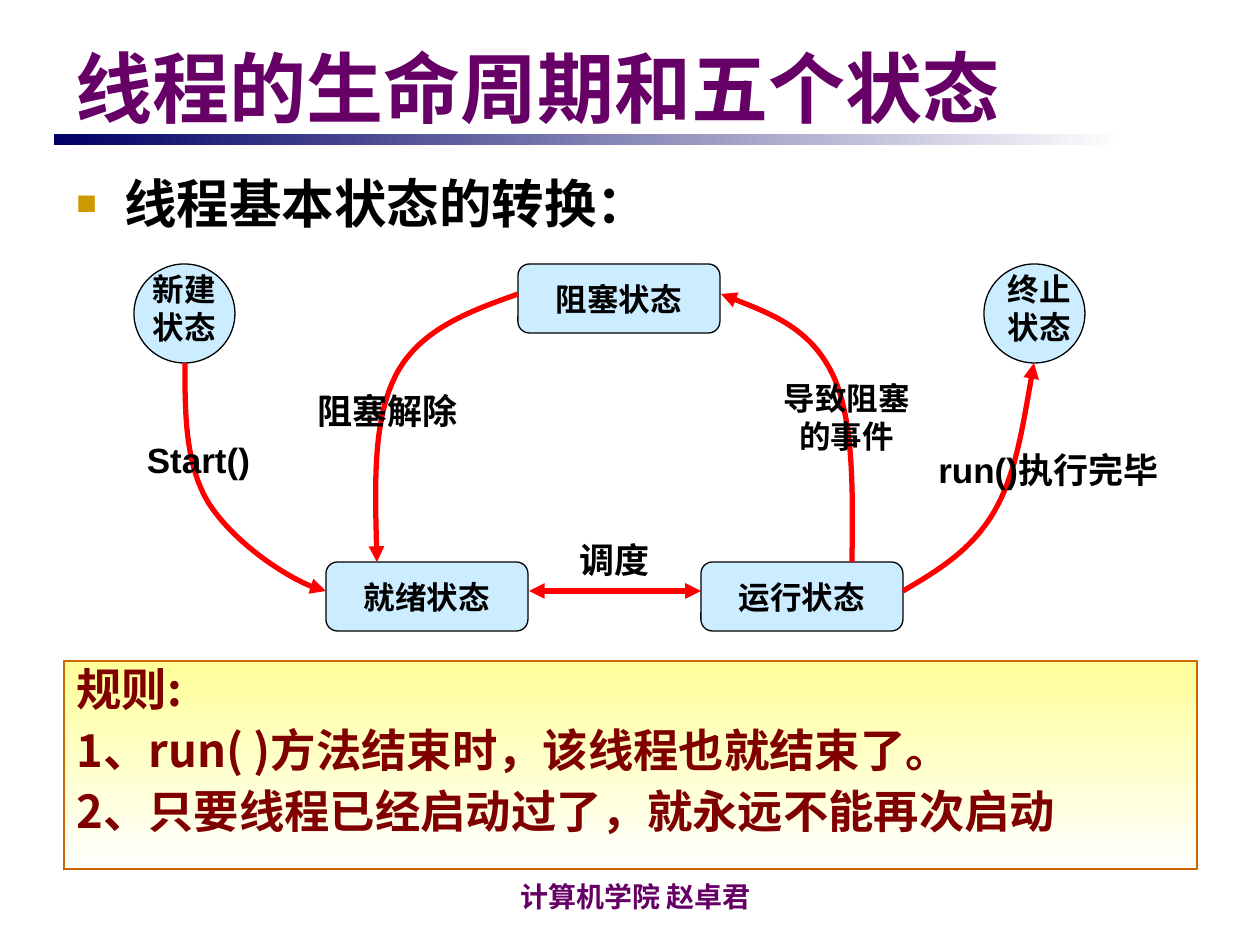
from pptx import Presentation
from pptx.dml.color import RGBColor
from pptx.enum.shapes import MSO_CONNECTOR, MSO_SHAPE
from pptx.enum.text import MSO_ANCHOR, PP_ALIGN
from pptx.oxml.ns import qn
from pptx.util import Pt
from lxml.etree import SubElement

EMU_PER_PX = 914400 / 126

NAVY = RGBColor(0x00, 0x00, 0x66)
PURPLE = RGBColor(0x66, 0x00, 0x66)
MAROON = RGBColor(0x80, 0x00, 0x00)
GOLD = RGBColor(0xCC, 0x99, 0x00)
ORANGE = RGBColor(0xCC, 0x66, 0x00)
YELLOW = RGBColor(0xFF, 0xFF, 0x99)
SKY = RGBColor(0xCC, 0xEC, 0xFF)
RED = RGBColor(0xFF, 0x00, 0x00)
BLACK = RGBColor(0x00, 0x00, 0x00)
WHITE = RGBColor(0xFF, 0xFF, 0xFF)

SANS = "Arial"
SERIF = "Times New Roman"
CHINESE = "Noto Sans CJK SC"


def emu(px):
    return round(px * EMU_PER_PX)


def write(shape, text, size=18, font=SANS, color=BLACK, align=PP_ALIGN.CENTER,
          anchor=MSO_ANCHOR.TOP, wrap=True, spacing=None, before=None):
    """Fill a shape with bold text, one paragraph a line."""
    frame = shape.text_frame
    frame.word_wrap = wrap
    frame.vertical_anchor = anchor
    for index, line in enumerate(text.split("\n")):
        para = frame.add_paragraph() if index else frame.paragraphs[0]
        para.alignment = align
        if spacing:
            para.line_spacing = spacing
        if before:
            para.space_before = Pt(before)
        span = para.add_run()
        span.text = line
        span.font.size = Pt(size)
        span.font.name = font
        span.font.bold = True
        span.font.color.rgb = color
    return frame


class StateSlide:
    def __init__(self, page):
        self.page = page
        self.shapes = page.shapes

    def outline(self, shape, color, width, head=False, tail=False):
        shape.line.color.rgb = color
        shape.line.width = Pt(width)
        stroke = shape.element.spPr.find(qn("a:ln"))
        for wanted, tag in ((head, "a:headEnd"), (tail, "a:tailEnd")):
            if wanted:
                SubElement(stroke, qn(tag), type="triangle")

    def text(self, left, top, width, height, text, **style):
        box = self.shapes.add_textbox(*map(emu, (left, top, width, height)))
        return write(box, text, **style)

    def shape(self, kind, left, top, width, height, fill=SKY, fade=None, angle=0, line=BLACK):
        shape = self.shapes.add_shape(kind, *map(emu, (left, top, width, height)))
        shape.shadow.inherit = False
        if fade is None:
            shape.fill.solid()
            shape.fill.fore_color.rgb = fill
        else:
            shape.fill.gradient()
            shape.fill.gradient_angle = angle
            for stop, color in zip(shape.fill.gradient_stops, (fill, fade)):
                stop.color.rgb = color
        if line is None:
            shape.line.fill.background()
        else:
            self.outline(shape, line, 0.75)
        return shape

    def line(self, start, end, color, width, **arrows):
        line = self.shapes.add_connector(MSO_CONNECTOR.STRAIGHT, *map(emu, start + end))
        self.outline(line, color, width, **arrows)
        SubElement(line.element.spPr, qn("a:effectLst"))

    def curve(self, start, *points, **arrows):
        """Draw Bezier segments, three points to a segment."""
        builder = self.shapes.build_freeform(*start, scale=EMU_PER_PX)
        builder.add_line_segments(points, close=False)
        curve = builder.convert_to_shape()
        curve.shadow.inherit = False
        curve.fill.background()
        self.outline(curve, RED, 3, **arrows)
        steps = list(curve.element.iter(qn("a:lnTo")))
        route = steps[0].getparent()
        for index in range(0, len(steps), 3):
            bend = SubElement(route, qn("a:cubicBezTo"))
            for step in steps[index:index + 3]:
                bend.append(step[0])
                route.remove(step)

    def bullet(self, para, indent, color, percent):
        props = para._p.get_or_add_pPr()
        props.set("marL", str(emu(indent)))
        props.set("indent", str(-emu(indent)))
        SubElement(SubElement(props, qn("a:buClr")), qn("a:srgbClr"), val=str(color))
        SubElement(props, qn("a:buSzPct"), val=str(percent * 1000))
        SubElement(props, qn("a:buFont"), typeface=SANS)
        SubElement(props, qn("a:buChar"), char="■")


def main():
    deck = Presentation()
    deck.slide_width, deck.slide_height = emu(1260), emu(945)
    slide = StateSlide(deck.slides.add_slide(deck.slide_layouts[6]))

    # Rules and footer
    slide.line((63, 869), (1197, 869), NAVY, 1.5)
    slide.shape(MSO_SHAPE.RECTANGLE, 54, 134, 1072, 11, fill=NAVY, fade=WHITE, line=None)
    slide.text(333, 856, 605, 63, "计算机学院 赵卓君", size=16, font=CHINESE,
               color=PURPLE, anchor=MSO_ANCHOR.BOTTOM)

    # Title and heading
    slide.text(63, 38, 1134, 97, "线程的生命周期和五个状态", size=44, font=SERIF,
               color=PURPLE, align=PP_ALIGN.LEFT, anchor=MSO_ANCHOR.MIDDLE)
    heading = slide.text(64, 165, 1133, 99, "线程基本状态的转换：", size=30, align=PP_ALIGN.LEFT)
    slide.bullet(heading.paragraphs[0], 48, GOLD, 65)

    # States
    for left in (134, 984):
        slide.shape(MSO_SHAPE.OVAL, left, 264, 101, 99)
    for left, top, name in ((326, 562, "就绪状态"), (701, 562, "运行状态"), (518, 264, "阻塞状态")):
        state = slide.shape(MSO_SHAPE.ROUNDED_RECTANGLE, left, top, 202, 69)
        write(state, name, anchor=MSO_ANCHOR.MIDDLE, wrap=False)

    # Transitions
    slide.line((529, 591), (701, 591), RED, 3, head=True, tail=True)
    slide.curve((185, 363), (185, 413), (185, 463), (208, 502),
                (232, 540), (297, 586), (326, 591), tail=True)
    slide.curve((903, 591), (937, 571), (971, 551), (994, 512),
                (1016, 474), (1024, 418), (1034, 363), tail=True)
    slide.curve((518, 294), (470, 311), (421, 329), (397, 373),
                (373, 418), (375, 490), (377, 562), tail=True)
    slide.curve((721, 294), (765, 311), (810, 329), (832, 373),
                (854, 418), (853, 490), (852, 562), head=True)

    # Labels
    for left, top, width, height, label, size in (
        (134, 264, 101, 88, "新建\n状态", 18),
        (994, 264, 91, 88, "终止\n状态", 18),
        (559, 532, 111, 55, "调度", 20),
        (286, 383, 203, 55, "阻塞解除", 20),
        (761, 373, 171, 88, "导致阻塞的事件", 18),
        (123, 432, 151, 55, "Start()", 20),
        (922, 442, 253, 97, "run()执行完毕", 20),
    ):
        slide.text(left, top, width, height, label, size=size)

    # Thread rules
    panel = slide.shape(MSO_SHAPE.RECTANGLE, 64, 661, 1133, 208,
                        fill=YELLOW, fade=WHITE, angle=270, line=ORANGE)
    write(panel, "规则:\n1、run( )方法结束时，该线程也就结束了。\n2、只要线程已经启动过了，就永远不能再次启动",
          size=25.9, font=CHINESE, color=MAROON, align=PP_ALIGN.LEFT, spacing=0.9, before=7)

    deck.save("out.pptx")


if __name__ == "__main__":
    main()
